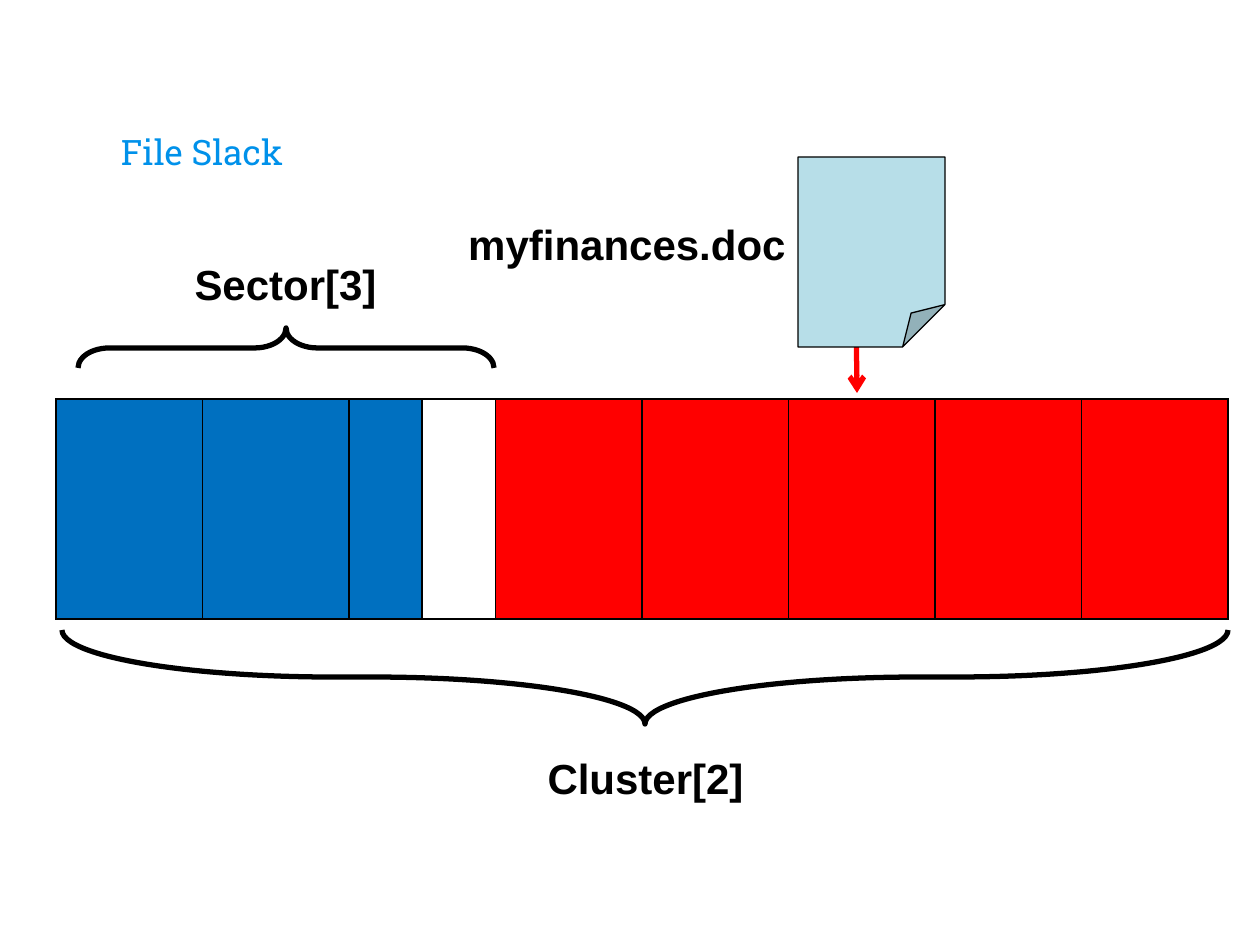
from dataclasses import dataclass

from lxml import etree
from pptx import Presentation
from pptx.dml.color import RGBColor
from pptx.enum.shapes import MSO_CONNECTOR, MSO_SHAPE
from pptx.enum.text import MSO_ANCHOR, PP_ALIGN
from pptx.oxml.ns import qn
from pptx.util import Emu, Pt

STRAIGHT = MSO_CONNECTOR.STRAIGHT
BRACE, FOLDED = MSO_SHAPE.LEFT_BRACE, MSO_SHAPE.FOLDED_CORNER
LEFT, CENTER, RIGHT = PP_ALIGN.LEFT, PP_ALIGN.CENTER, PP_ALIGN.RIGHT
TOP, BOTTOM = MSO_ANCHOR.TOP, MSO_ANCHOR.BOTTOM

PX_PER_INCH = 126
BLACK, WHITE, RED, BLUE = "000000", "FFFFFF", "FF0000", "0070C0"
PAPER, TITLE = "B7DEE8", "0091EA"


@dataclass
class Box:
    x: int
    y: int
    w: int
    h: int

    def emu(self) -> list[Emu]:
        return [px(v) for v in (self.x, self.y, self.w, self.h)]


@dataclass
class Brace:
    box: Box
    rotation: int
    curve: int


@dataclass
class Label:
    text: str
    box: Box
    align: PP_ALIGN


@dataclass
class Sector:
    halves: int
    color: str


BRACES = [
    Brace(Box(598, 94, 94, 1166), 270, 289000),
    Brace(Box(266, 140, 40, 416), 90, 78500),
]
LABELS = [
    Label("Sector[3]", Box(107, 252, 357, 73), CENTER),
    Label("Cluster[2]", Box(467, 746, 357, 73), CENTER),
    Label("myfinances.doc", Box(441, 212, 357, 63), RIGHT),
]
CLUSTER = Box(56, 399, 1172, 220)
SECTORS = [Sector(2, BLUE)] * 2 + [Sector(1, BLUE), Sector(1, WHITE)] + [Sector(2, RED)] * 5


def px(v: float) -> Emu:
    return Emu(round(v * 914400 / PX_PER_INCH))


def rgb(color: str) -> RGBColor:
    return RGBColor.from_string(color)


def set_line(s, color: str, width: float) -> None:
    s.line.color.rgb = rgb(color)
    s.line.width = Pt(width)


def add_text(slide, text: str, box: Box, *, size=24, font="Arial", color=BLACK,
             bold=True, align=CENTER, anchor=TOP, inset=None) -> None:
    tf = slide.shapes.add_textbox(*box.emu()).text_frame
    tf.word_wrap = True
    tf.vertical_anchor = anchor
    if inset is not None:
        tf.margin_left = tf.margin_right = tf.margin_top = tf.margin_bottom = px(inset)
    p = tf.paragraphs[0]
    p.alignment = align
    r = p.add_run()
    r.text = text
    r.font.size, r.font.name, r.font.bold = Pt(size), font, bold
    r.font.color.rgb = rgb(color)


def set_guides(s, guides: dict[str, int]) -> None:
    """Write the preset's guides; python-pptx lists none for a folded corner."""
    geometry = s._element.spPr.find(qn("a:prstGeom"))
    for old in geometry.findall(qn("a:avLst")):
        geometry.remove(old)
    av_list = etree.SubElement(geometry, qn("a:avLst"))
    for name, value in guides.items():
        etree.SubElement(av_list, qn("a:gd"), name=name, fmla=f"val {value}")


def add_shape(slide, kind: MSO_SHAPE, box: Box, guides: dict[str, int], *,
              fill=None, width=3.0, rotation=0) -> None:
    s = slide.shapes.add_shape(kind, *box.emu())
    s.shadow.inherit = False
    s.rotation = rotation
    set_guides(s, guides)
    if fill:
        s.fill.solid()
        s.fill.fore_color.rgb = rgb(fill)
    else:
        s.fill.background()
    set_line(s, BLACK, width)


def add_arrow(slide, x1: int, y1: int, x2: int, y2: int) -> None:
    s = slide.shapes.add_connector(STRAIGHT, px(x1), px(y1), px(x2), px(y2))
    set_line(s, RED, 3)
    ln = s._element.spPr.find(qn("a:ln"))
    etree.SubElement(ln, qn("a:tailEnd"), type="arrow")
    etree.SubElement(s._element.spPr, qn("a:effectLst"))


def set_borders(cell, color: str, width: float) -> None:
    tc_pr = cell._tc.get_or_add_tcPr()
    for side in "LRTB":
        ln = etree.SubElement(tc_pr, qn(f"a:ln{side}"), w=str(int(Pt(width))))
        fill = etree.SubElement(ln, qn("a:solidFill"))
        etree.SubElement(fill, qn("a:srgbClr"), val=color)


def add_cluster(slide, box: Box, sectors: list[Sector]) -> None:
    table = slide.shapes.add_table(1, len(sectors), *box.emu()).table
    table.first_row = table.horz_banding = False
    half = box.w / sum(sector.halves for sector in sectors)
    for i, sector in enumerate(sectors):
        table.columns[i].width = px(half * sector.halves)
        cell = table.cell(0, i)
        set_borders(cell, BLACK, 1)
        cell.fill.solid()
        cell.fill.fore_color.rgb = rgb(sector.color)


def main() -> None:
    prs = Presentation()
    prs.slide_width, prs.slide_height = px(1260), px(945)
    slide = prs.slides.add_slide(prs.slide_layouts[6])

    # Arrow from the document to the cluster, then the title
    add_arrow(slide, 856, 305, 857, 393)
    add_text(slide, "File Slack", Box(108, 57, 1043, 129), size=20, font="Roboto Slab",
             color=TITLE, bold=False, align=LEFT, anchor=BOTTOM, inset=13)

    # Cluster with its braces
    for brace in BRACES:
        add_shape(slide, BRACE, brace.box, {"adj1": brace.curve, "adj2": 50000},
                  rotation=brace.rotation)
    add_cluster(slide, CLUSTER, SECTORS)

    # Document and labels
    add_shape(slide, FOLDED, Box(798, 157, 147, 190), {"adj": 28800}, fill=PAPER, width=0.75)
    for label in LABELS:
        add_text(slide, label.text, label.box, align=label.align)

    prs.save("out.pptx")


if __name__ == "__main__":
    main()
